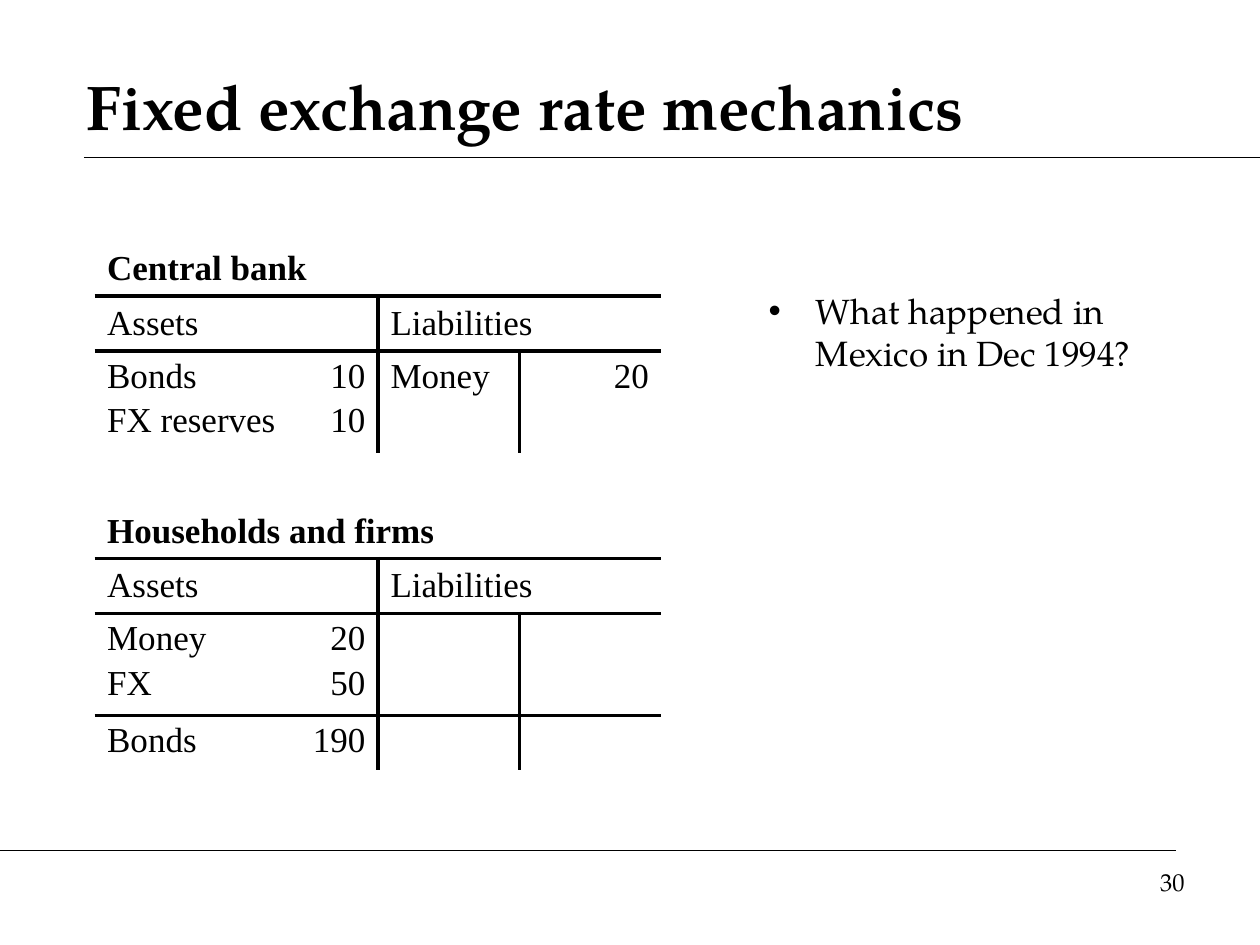
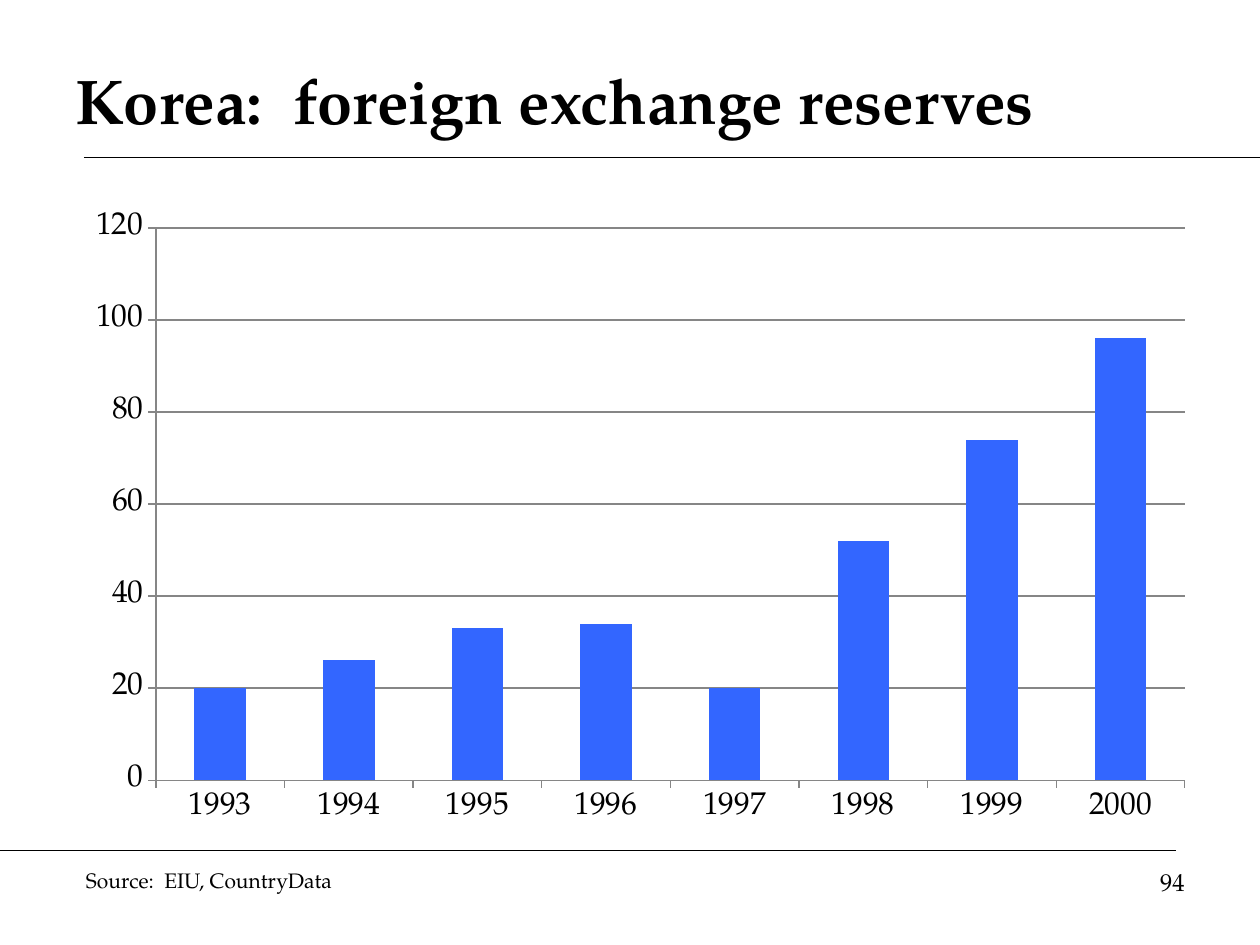
from lxml.etree import SubElement
from pptx import Presentation
from pptx.chart.data import CategoryChartData
from pptx.dml.color import RGBColor
from pptx.enum.chart import XL_CHART_TYPE as ChartType, XL_TICK_MARK as Tick
from pptx.enum.shapes import MSO_CONNECTOR as Connector
from pptx.enum.text import MSO_ANCHOR as Anchor, MSO_AUTO_SIZE as AutoSize, PP_ALIGN as Align
from pptx.oxml.ns import qn
from pptx.util import Emu, Pt

BLACK = RGBColor(0x00, 0x00, 0x00)
GREY = RGBColor(0x86, 0x86, 0x86)
BLUE = RGBColor(0x33, 0x66, 0xFF)
SERIF = "TeX Gyre Pagella"
LEDGER = "Times New Roman"
PLAIN_TABLE = "{2D5ABB26-0587-4C30-8999-92F81FD0307C}"
TITLE_AND_BODY, TITLE_ONLY = 1, 5


def px(n):
    """Convert px (120 to the inch) to EMU."""
    return Emu(n * 7620)


def place(sp, box):
    sp.left, sp.top, sp.width, sp.height = map(px, box)


def style(p, size, font=SERIF, bold=False, align=Align.LEFT):
    p.alignment = align
    for r in p.runs:
        r.font.name, r.font.size, r.font.bold = font, Pt(size), bold
        r.font.color.rgb = BLACK


def draw_borders(cell, sides):
    tc_pr = cell._tc.get_or_add_tcPr()
    for i, side in enumerate(s for s in "LRTB" if s in sides):
        ln = SubElement(tc_pr, qn(f"a:ln{side}"), w=str(Pt(2.25)))
        fill = SubElement(ln, qn("a:solidFill"))
        SubElement(fill, qn("a:srgbClr"), val=str(BLACK))
        tc_pr.insert(i, ln)


class Deck:
    def __init__(self):
        self.prs = Presentation()
        self.prs.slide_width, self.prs.slide_height = px(1200), px(900)
        self.s = None

    def new_slide(self, layout, title, title_box, number):
        self.s = self.prs.slides.add_slide(self.prs.slide_layouts[layout])
        self.rule(80, 150, 1200)
        self.rule(0, 810, 1120)
        sp = self.s.shapes.title
        place(sp, title_box)
        tf = sp.text_frame
        tf.text = title
        tf.vertical_anchor, tf.auto_size = Anchor.MIDDLE, AutoSize.NONE
        style(tf.paragraphs[0], 36, bold=True)
        self.text(str(number), (860, 820, 280, 62), 14, Align.RIGHT)

    def rule(self, left, y, right):
        line = self.s.shapes.add_connector(Connector.STRAIGHT, px(left), px(y), px(right), px(y))
        line.line.color.rgb, line.line.width = BLACK, Pt(0.75)
        SubElement(line._element.spPr, qn("a:effectLst"))

    def text(self, text, box, size, align=Align.LEFT):
        tf = self.s.shapes.add_textbox(*map(px, box)).text_frame
        tf.word_wrap = True
        tf.text = text
        style(tf.paragraphs[0], size, align=align)

    def bullets(self, items, box):
        sp = self.s.placeholders[1]
        place(sp, box)
        tf = sp.text_frame
        tf.text = "\n".join(items)
        tf.auto_size = AutoSize.NONE
        for i, p in enumerate(tf.paragraphs):
            p_pr = p._p.get_or_add_pPr()
            p_pr.set("marL", str(px(45)))
            p_pr.set("indent", str(px(-45)))
            SubElement(p_pr, qn("a:buChar"), char="•")
            p.space_before = Pt(10 if i else 0)
            style(p, 20)

    def balance_sheet(self, owner, entries, left, top, widths):
        """Draw a T-account; each entry row is asset, amount, liability, amount."""
        rows = [(owner, "", "", ""), ("Assets", "", "Liabilities", ""), *entries]
        frame = self.s.shapes.add_table(len(rows), 4, px(left), px(top),
                                        px(sum(widths)), px(48 * len(rows)))
        table = frame.table
        table.first_row = table.horz_banding = False
        table._tbl.tblPr.find(qn("a:tableStyleId")).text = PLAIN_TABLE
        for col, width in zip(table.columns, widths):
            col.width = px(width)
        table.cell(0, 0).merge(table.cell(0, 3))
        for c in (0, 2):
            table.cell(1, c).merge(table.cell(1, c + 1))
        for r, row in enumerate(rows):
            for c, text in enumerate(row):
                cell = table.cell(r, c)
                cell.fill.background()
                sides = ("B" if r < 2 else "") + ("T" if r in (1, 2) else "")
                if r:
                    sides += {1: "R", 2: "L"}.get(c, "")
                draw_borders(cell, sides)
                cell.vertical_anchor = Anchor.TOP if r > 1 else Anchor.MIDDLE
                if not text:
                    continue
                cell.text_frame.text = text
                for i, p in enumerate(cell.text_frame.paragraphs):
                    p.space_before = Pt(3 if i else 0)
                    style(p, 20, LEDGER, r == 0, Align.RIGHT if c % 2 else Align.LEFT)

    def column_chart(self, cats, vals, box):
        data = CategoryChartData()
        data.categories = cats
        data.add_series("Series 1", vals)
        chart = self.s.shapes.add_chart(ChartType.COLUMN_CLUSTERED, *map(px, box), data).chart
        chart.has_legend = chart.has_title = False
        chart.font.name, chart.font.size = SERIF, Pt(18)
        chart.font.color.rgb = BLACK
        plot = chart.plots[0]
        plot.gap_width, plot.vary_by_categories = 150, False
        fill = plot.series[0].format.fill
        fill.solid()
        fill.fore_color.rgb = BLUE
        value_axis = chart.value_axis
        value_axis.minimum_scale, value_axis.maximum_scale, value_axis.major_unit = 0, 120, 20
        value_axis.has_major_gridlines = True
        for axis in (chart.category_axis, value_axis):
            axis.major_tick_mark, axis.minor_tick_mark = Tick.OUTSIDE, Tick.NONE
        for part in (chart.category_axis, value_axis, value_axis.major_gridlines):
            part.format.line.color.rgb = GREY
            part.format.line.width = Pt(0.75)


def main():
    deck = Deck()

    deck.new_slide(TITLE_AND_BODY, "Fixed exchange rate mechanics", (70, 50, 1040, 100), 30)
    deck.balance_sheet("Central bank", [("Bonds\nFX reserves", "10\n10", "Money", "20")],
                       90, 230, (200, 70, 135, 135))
    deck.balance_sheet("Households and firms",
                       [("Money\nFX", "20\n50", "", ""), ("Bonds", "190", "", "")],
                       90, 480, (178, 92, 135, 135))
    deck.bullets(["What happened in Mexico in Dec 1994?"], (720, 270, 410, 460))

    deck.new_slide(TITLE_ONLY, "Korea:  foreign exchange reserves", (60, 40, 1080, 110), 94)
    deck.text("Source:  EIU, CountryData", (70, 820, 580, 36), 12)
    deck.column_chart([str(year) for year in range(1993, 2001)],
                      (20, 26, 33, 34, 20, 52, 74, 96), (70, 190, 1080, 607))

    deck.prs.save("out.pptx")


if __name__ == "__main__":
    main()
